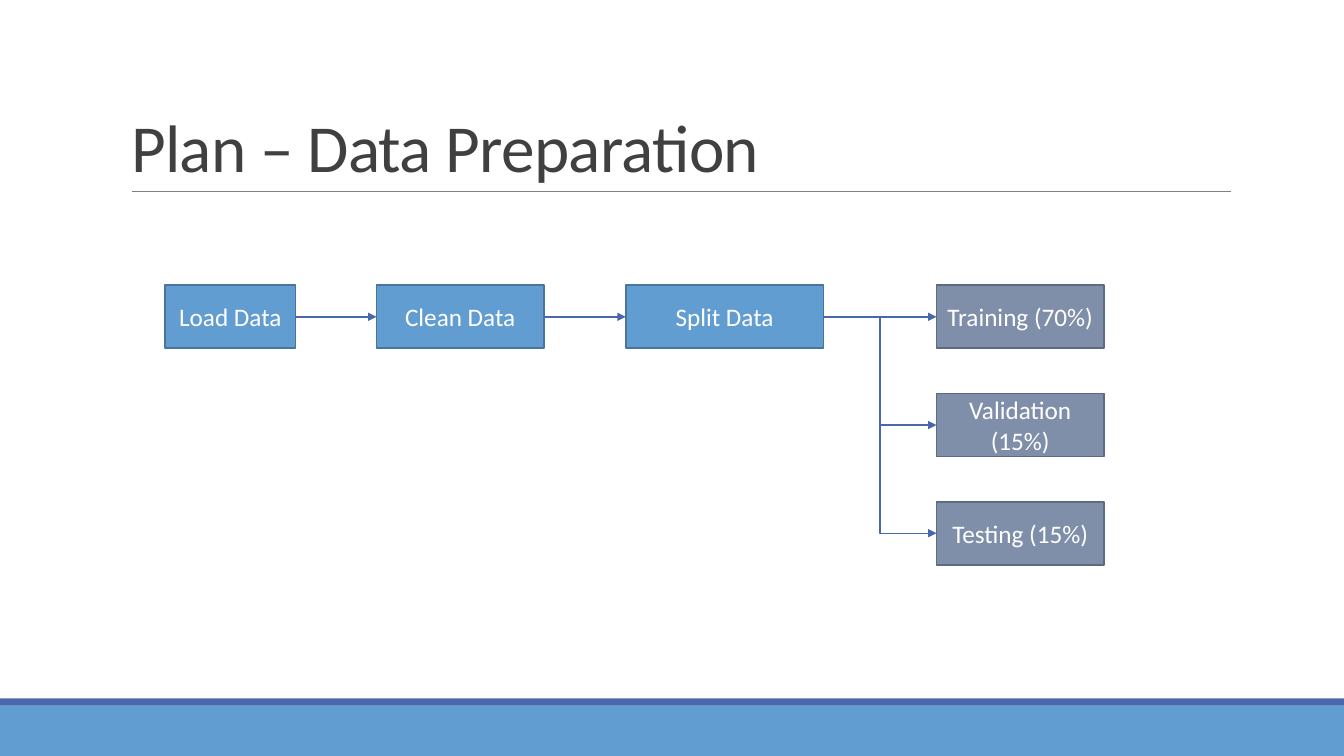
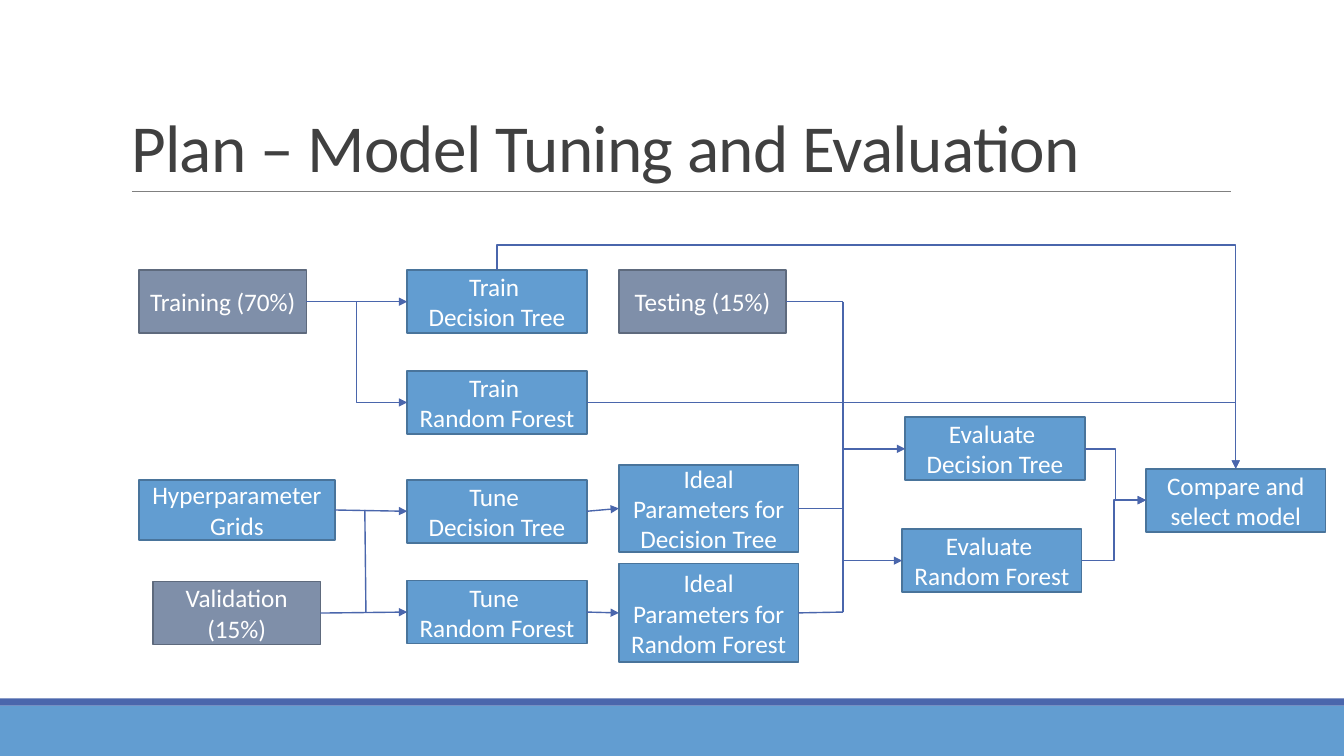
from pptx import Presentation
from pptx.dml.color import RGBColor
from pptx.enum import shapes, text
from pptx.oxml import parse_xml
from pptx.oxml.ns import nsdecls, qn
from pptx.util import Pt

COLORS = {"step": "629DD1", "step_line": "49749B", "data": "7F8FA9",
          "data_line": "5E6A7D", "accent": "4A66AC", "rule": "808080",
          "title": "404040", "white": "FFFFFF"}
FONT = "Calibri"
SLIDE_W, SLIDE_H = 960, 540
TOP, LEFT, RIGHT = 0, 1, 3  # connection sites of a rectangle
BOX_H, DATA_W, MODEL_W = 45, 119.5, 128.2

# Columns and rows of the two diagrams
SPLIT_X, SPLIT_Y, SPLIT_STEP = 669, 203.8, 77.3
TRAIN_X, IDEAL_X, RAIL_X = 290.9, 442.1, 602.2
TRAIN_Y, TUNE_Y, MODEL_STEP = 193, 342.7, 72

# Boxes: name -> (text, kind, left, top, width, height)
# Links: (from, to), joined right side to left side
SLIDES = [
    {
        "title": "Plan – Data Preparation",
        "boxes": {
            "load": ("Load Data", "step", 118, SPLIT_Y, 93, BOX_H),
            "clean": ("Clean Data", "step", 269, SPLIT_Y, DATA_W, BOX_H),
            "split": ("Split Data", "step", 447, SPLIT_Y, 141.2, BOX_H),
            "training": ("Training (70%)", "data", SPLIT_X, SPLIT_Y, DATA_W, BOX_H),
            "validation": ("Validation (15%)", "data", SPLIT_X,
                           SPLIT_Y + SPLIT_STEP, DATA_W, BOX_H),
            "testing": ("Testing (15%)", "data", SPLIT_X,
                        SPLIT_Y + 2 * SPLIT_STEP, DATA_W, BOX_H),
        },
        "straight": [("load", "clean"), ("clean", "split"), ("split", "training")],
        "elbow": [("split", "validation"), ("split", "testing")],
        "to_top": [],
        "lines": [],
    },
    {
        "title": "Plan – Model Tuning and Evaluation",
        "boxes": {
            "training": ("Training (70%)", "data", 99.4, TRAIN_Y, DATA_W, BOX_H),
            "train_tree": ("Train \nDecision Tree", "step", TRAIN_X, TRAIN_Y,
                           MODEL_W, BOX_H),
            "train_forest": ("Train \nRandom Forest", "step", TRAIN_X,
                             TRAIN_Y + MODEL_STEP, MODEL_W, BOX_H),
            "grids": ("Hyperparameter\nGrids", "step", 99.4, TUNE_Y, 139.7, 43.2),
            "validation": ("Validation (15%)", "data", 109.4, 415.4, DATA_W, BOX_H),
            "tune_tree": ("Tune \nDecision Tree", "step", TRAIN_X, TUNE_Y,
                          MODEL_W, BOX_H),
            "tune_forest": ("Tune \nRandom Forest", "step", TRAIN_X,
                            TUNE_Y + MODEL_STEP, MODEL_W, BOX_H),
            "eval_tree": ("Evaluate \nDecision Tree", "step", 646.6, 298.1,
                          MODEL_W, BOX_H),
            "eval_forest": ("Evaluate \nRandom Forest", "step", 644.4, 378,
                            MODEL_W, BOX_H),
            "testing": ("Testing (15%)", "data", IDEAL_X, TRAIN_Y, DATA_W, BOX_H),
            "ideal_tree": ("Ideal Parameters for Decision Tree", "step", IDEAL_X,
                           331.9, MODEL_W, 62.6),
            "ideal_forest": ("Ideal Parameters for Random Forest", "step", IDEAL_X,
                             402.5, MODEL_W, 70.6),
            "compare": ("Compare and select model", "step", 818.6, 334.8,
                        MODEL_W, BOX_H),
        },
        "straight": [("training", "train_tree"), ("grids", "tune_tree"),
                     ("validation", "tune_forest"), ("tune_tree", "ideal_tree"),
                     ("tune_forest", "ideal_forest")],
        "elbow": [("training", "train_forest"), ("eval_tree", "compare"),
                  ("eval_forest", "compare")],
        "to_top": [("train_tree", TOP, "compare"), ("train_forest", RIGHT, "compare")],
        # (x1, y1, x2, y2, has arrowhead)
        "lines": [
            (561.6, 215.5, RAIL_X, 215.5, False),
            (RAIL_X, 215.5, RAIL_X, 437.5, False),
            (570.3, 363.2, RAIL_X, 363.2, False),
            (570.3, 437.8, RAIL_X, 437.2, False),
            (RAIL_X, 320.6, 646.6, 320.6, True),
            (RAIL_X, 400.5, 644.4, 400.5, True),
            (260.6, 364.3, 261.4, 437.2, False),
        ],
    },
]


def rgb(name):
    """Return the palette colour called name."""
    return RGBColor.from_string(COLORS[name])


def add_rect(s, x, y, w, h, fill, line=None):
    """Add a flat rectangle."""
    sp = s.shapes.add_shape(shapes.MSO_SHAPE.RECTANGLE, Pt(x), Pt(y), Pt(w), Pt(h))
    sp.shadow.inherit = False
    sp.fill.solid()
    sp.fill.fore_color.rgb = rgb(fill)
    if line:
        sp.line.color.rgb = rgb(line)
        sp.line.width = Pt(1.25)
    else:
        sp.line.fill.background()
    return sp


def style_runs(p, size, color):
    """Give every run of a paragraph its font."""
    for r in p.runs:
        r.font.name = FONT
        r.font.size = Pt(size)
        r.font.color.rgb = rgb(color)


def add_box(s, label, kind, x, y, w, h):
    """Add one labelled box of the diagram."""
    sp = add_rect(s, x, y, w, h, kind, kind + "_line")
    tf = sp.text_frame
    tf.word_wrap = True
    tf.vertical_anchor = text.MSO_ANCHOR.MIDDLE
    tf.text = label
    for p in tf.paragraphs:
        p.alignment = text.PP_ALIGN.CENTER
        style_runs(p, 18, "white")
    return sp


def add_line(s, x1=0, y1=0, x2=0, y2=0, arrow=True, color="accent", width=1,
             kind=shapes.MSO_CONNECTOR.STRAIGHT):
    """Add a shadowless connector, with an arrowhead at its end if wanted."""
    cxn = s.shapes.add_connector(kind, Pt(x1), Pt(y1), Pt(x2), Pt(y2))
    cxn.line.color.rgb = rgb(color)
    cxn.line.width = Pt(width)
    if arrow:
        cxn.line.fill  # the a:ln element exists from here on
        ln = cxn.element.spPr.find(qn("a:ln"))
        ln.append(parse_xml(f'<a:tailEnd {nsdecls("a")} type="triangle"/>'))
    cxn.element.spPr.append(parse_xml(f'<a:effectLst {nsdecls("a")}/>'))
    return cxn


def link(s, start, end, kind, start_site=RIGHT, end_site=LEFT):
    """Connect two boxes with an arrow."""
    cxn = add_line(s, kind=kind)
    cxn.begin_connect(start, start_site)
    cxn.end_connect(end, end_site)
    return cxn


def link_to_top(s, start, site, end):
    """Connect a box to the top of another, going over it or turning once."""
    cxn = link(s, start, end, shapes.MSO_CONNECTOR.ELBOW, site, TOP)
    geom = cxn.element.spPr.find(qn("a:prstGeom"))
    if site == RIGHT:
        geom.set("prst", "bentConnector2")
        return
    x, y, w, h = cxn.left, cxn.top, cxn.width, cxn.height
    cxn.left, cxn.top = x + (w - h) // 2, y + (h - w) // 2
    cxn.width, cxn.height = h, w
    xfrm = cxn.element.spPr.find(qn("a:xfrm"))
    xfrm.set("rot", str(270 * 60000))
    xfrm.set("flipH", "1")
    for av in geom.findall(qn("a:avLst")):
        geom.remove(av)
    geom.append(parse_xml(f'<a:avLst {nsdecls("a")}>'
                          '<a:gd name="adj1" fmla="val -12700"/></a:avLst>'))


def decorate_layout(layout, s):
    """Draw the bands and title rule on s, then move them to the layout."""
    parts = [add_rect(s, 0, 504, SLIDE_W, 36, "step"),
             add_rect(s, 0, 498.8, SLIDE_W, 5.2, "accent"),
             add_line(s, 94.2, 136.8, 879.2, 136.8, False, "rule", 0.5)]
    for part in parts:
        layout.shapes.element.append(part.element)


def set_title(s, title):
    """Place and format the title placeholder."""
    sp = s.shapes.title
    sp.left, sp.top, sp.width, sp.height = Pt(86.4), Pt(22.6), Pt(792), Pt(114.2)
    tf = sp.text_frame
    tf.text = title
    tf.word_wrap = True
    tf.auto_size = text.MSO_AUTO_SIZE.NONE
    tf.vertical_anchor = text.MSO_ANCHOR.BOTTOM
    p = tf.paragraphs[0]
    p.alignment = text.PP_ALIGN.LEFT
    p.line_spacing = 0.85
    style_runs(p, 48, "title")
    for props in sp.element.iter(qn("a:rPr")):
        props.set("spc", "-50")


def build_slide(s, content):
    """Fill a slide with its title, boxes and arrows."""
    set_title(s, content["title"])
    boxes = {name: add_box(s, *box) for name, box in content["boxes"].items()}
    for kind, key in ((shapes.MSO_CONNECTOR.STRAIGHT, "straight"),
                      (shapes.MSO_CONNECTOR.ELBOW, "elbow")):
        for start, end in content[key]:
            link(s, boxes[start], boxes[end], kind)
    for start, site, end in content["to_top"]:
        link_to_top(s, boxes[start], site, boxes[end])
    for line in content["lines"]:
        add_line(s, *line)


prs = Presentation()
prs.slide_width, prs.slide_height = Pt(SLIDE_W), Pt(SLIDE_H)
layout = prs.slide_layouts[5]
for number, content in enumerate(SLIDES):
    s = prs.slides.add_slide(layout)
    if number == 0:
        decorate_layout(layout, s)
    build_slide(s, content)
prs.save("out.pptx")
